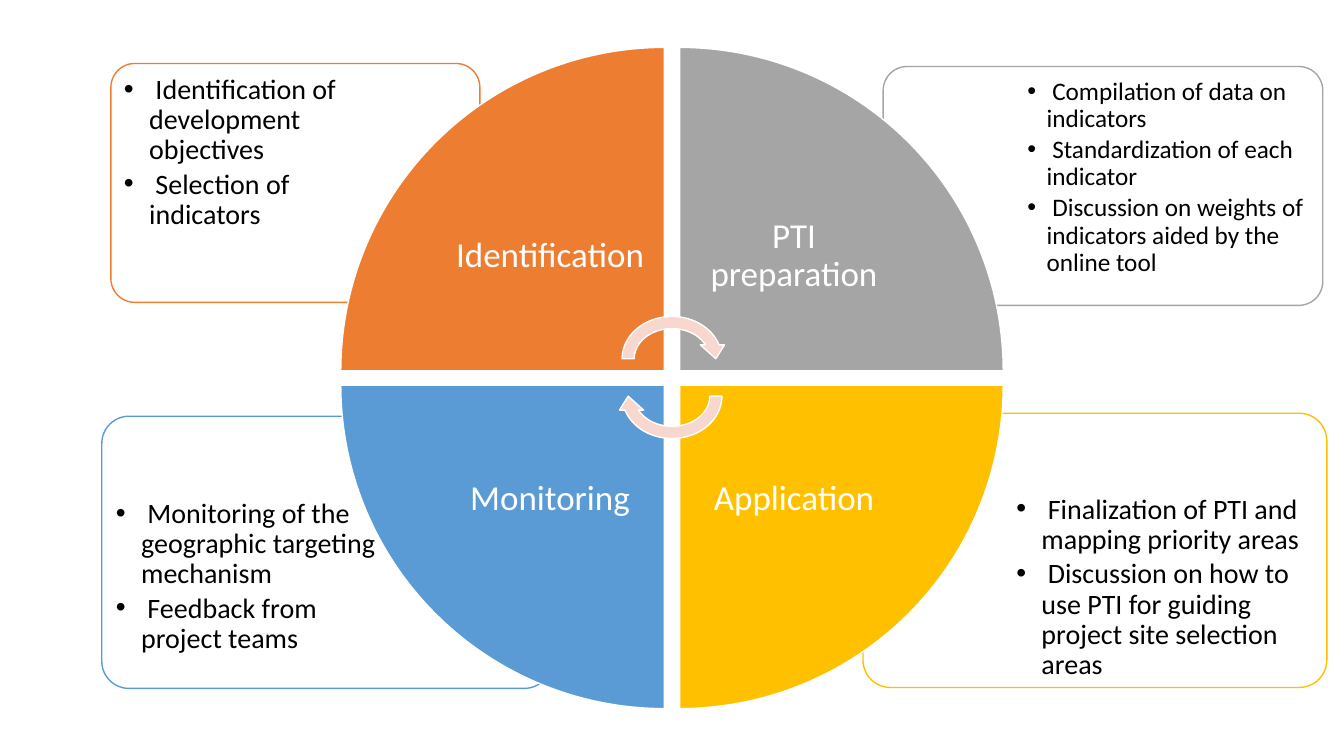
"""Build the four-stage PTI cycle slide with its pie wedges and detail cards."""
from dataclasses import dataclass
from itertools import product

from lxml.etree import SubElement
from pptx import Presentation
from pptx.dml.color import RGBColor
from pptx.enum.shapes import MSO_SHAPE as Shape
from pptx.enum.text import MSO_ANCHOR as Anchor, PP_ALIGN as Align
from pptx.oxml.ns import qn
from pptx.util import Pt

EMU_PER_PX = 9144
WEDGE, LABEL = 321, 227
WEDGE_LEFTS, WEDGE_TOPS = (338, 674), (47, 382)


@dataclass(frozen=True)
class Theme:
    """Colours, font and type sizes."""
    font: str = "Calibri"
    white: str = "FFFFFF"
    ink: str = "000000"
    arrow: str = "F8D7CE"
    orange: str = "ED7D31"
    grey: str = "A5A5A5"
    yellow: str = "FFC000"
    blue: str = "5B9BD5"
    label_size: int = 25
    detail_size: int = 20
    dense_size: int = 18


def px(length):
    """Turn whole px into EMU."""
    return length * EMU_PER_PX


def apply(target, values):
    """Set every attribute in values on target."""
    for name, value in values.items():
        setattr(target, name, value)


class CycleSlide:
    """Draws the elements of the cycle on one slide."""

    def __init__(self, slide, theme):
        self.slide, self.theme = slide, theme

    def outline(self, kind, box, fill, line, rotation=0):
        """Add a preset shape with a one-point line."""
        shape = self.slide.shapes.add_shape(kind, *map(px, box))
        shape.shadow.inherit = False
        shape.rotation = rotation
        shape.fill.solid()
        shape.fill.fore_color.rgb = RGBColor.from_string(fill)
        shape.line.color.rgb = RGBColor.from_string(line)
        shape.line.width = Pt(1)
        return shape

    def card(self, box, colour):
        """Add a rounded, slightly transparent card."""
        card = self.outline(Shape.ROUNDED_RECTANGLE, box, self.theme.white, colour)
        card.adjustments[0] = 0.1
        fill = card.element.spPr.find(qn("a:solidFill"))
        SubElement(fill[0], qn("a:alpha"), val="90000")

    def text(self, box, lines, size, colour, anchor, inset, paragraph_format):
        """Add a wrapped text box and return its paragraphs."""
        frame = self.slide.shapes.add_textbox(*map(px, box)).text_frame
        margins = {f"margin_{side}": px(inset) for side in ("left", "top", "right", "bottom")}
        apply(frame, {"word_wrap": True, "vertical_anchor": anchor, **margins})
        frame.text = "\n".join(lines)
        for paragraph in frame.paragraphs:
            apply(paragraph, {"line_spacing": 0.9, **paragraph_format})
            font = paragraph.runs[0].font
            apply(font, {"name": self.theme.font, "size": Pt(size)})
            font.color.rgb = RGBColor.from_string(colour)
        return frame.paragraphs

    def details(self, box, points, size, anchor, inset, indent):
        """Add a bulleted list."""
        spacing = {"level": 1, "space_after": Pt(size * 0.15)}
        for point in self.text(box, points, size, self.theme.ink, anchor, inset, spacing):
            properties = point._p.get_or_add_pPr()
            properties.set("marL", str(px(indent)))
            properties.set("indent", str(-px(indent)))
            SubElement(properties, qn("a:buFont"), typeface="Arial")
            SubElement(properties, qn("a:buChar"), char="•")

    def wedge(self, column, row, rotation, colour, label):
        """Add a quarter of the circle and its label near the centre."""
        left, top = WEDGE_LEFTS[column], WEDGE_TOPS[row]
        self.outline(Shape.PIE_WEDGE, (left, top, WEDGE, WEDGE), colour, self.theme.white, rotation)
        shift = WEDGE - LABEL
        box = (left + shift * (1 - column), top + shift * (1 - row), LABEL, LABEL)
        self.text(box, [label], self.theme.label_size, self.theme.white,
                  Anchor.MIDDLE, 19, {"alignment": Align.CENTER})

    def arrow(self, top, rotation):
        """Add a curved arrow at the hub."""
        self.outline(Shape.CIRCULAR_ARROW, (611, top, 111, 96),
                     self.theme.arrow, self.theme.white, rotation)


def main():
    """Draw the slide and save it."""
    deck = Presentation()
    apply(deck, {"slide_width": px(1333), "slide_height": px(750)})
    theme = Theme()
    cycle = CycleSlide(deck.slides.add_slide(deck.slide_layouts[6]), theme)

    cards = [
        (theme.yellow, (856, 410, 460, 272), (1000, 483, 310, 192),
         theme.detail_size, Anchor.TOP, 8, 25,
         [" Finalization of PTI and mapping priority areas",
          " Discussion on how to use PTI for guiding project site selection areas"]),
        (theme.blue, (101, 413, 446, 270), (107, 487, 301, 191),
         theme.detail_size, Anchor.TOP, 8, 25,
         [" Monitoring of the geographic targeting mechanism",
          " Feedback from project teams"]),
        (theme.grey, (876, 66, 436, 237), (1012, 71, 295, 167),
         theme.dense_size, Anchor.TOP, 7, 19,
         [" Compilation of data on indicators",
          " Standardization of each indicator",
          " Discussion on weights of indicators aided by the online tool"]),
        (theme.orange, (110, 63, 366, 237), (115, 68, 246, 167),
         theme.detail_size, Anchor.MIDDLE, 8, 25,
         [" Identification of development objectives",
          " Selection of indicators"]),
    ]
    for colour, card_box, text_box, size, anchor, inset, indent, points in cards:
        cycle.card(card_box, colour)
        cycle.details(text_box, points, size, anchor, inset, indent)

    stages = [
        (0, theme.orange, "Identification "),
        (90, theme.grey, "PTI preparation"),
        (270, theme.blue, "Monitoring"),
        (180, theme.yellow, "Application"),
    ]
    for (row, column), stage in zip(product(range(2), repeat=2), stages):
        cycle.wedge(column, row, *stage)

    for top, rotation in ((308, 0), (345, 180)):
        cycle.arrow(top, rotation)

    deck.save("out.pptx")


if __name__ == "__main__":
    main()
